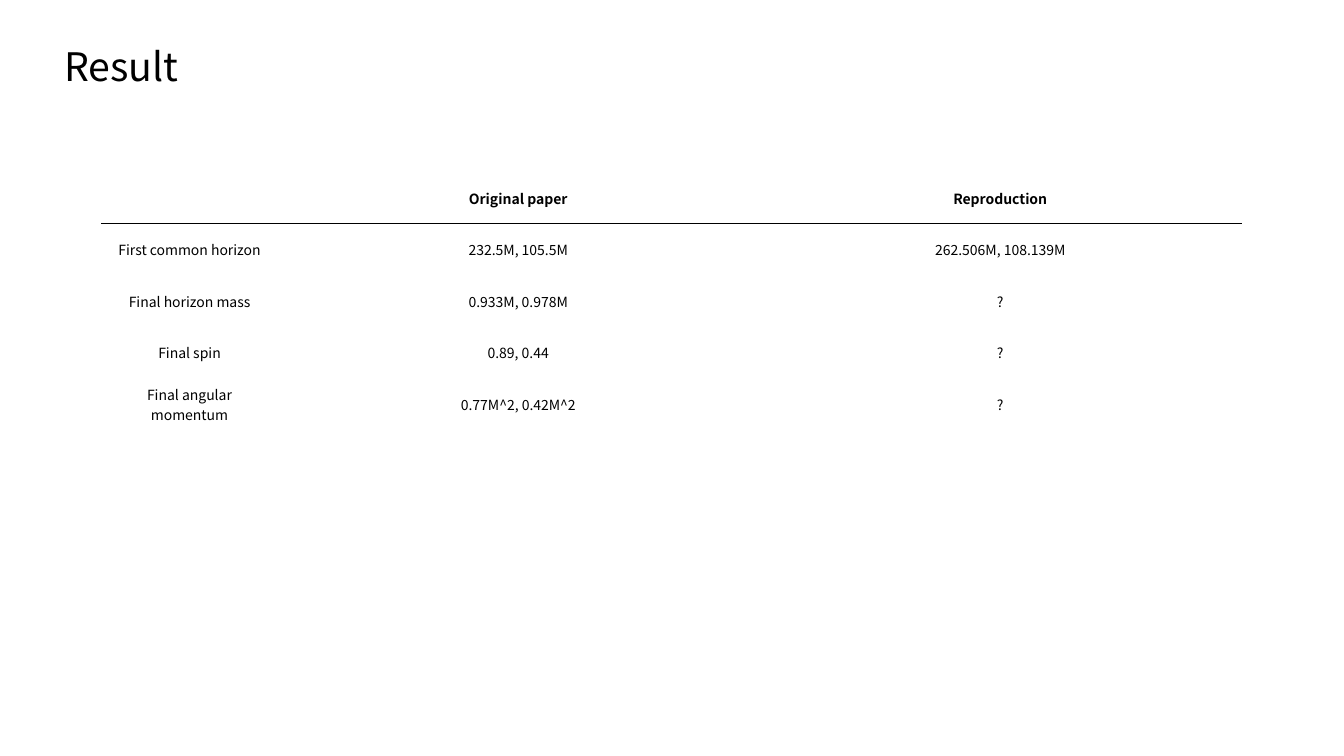
"""Build the slide that compares the paper's results with the reproduction."""
from dataclasses import dataclass

from lxml.etree import SubElement
from pptx import Presentation
from pptx.dml.color import RGBColor as Rgb
from pptx.enum.text import MSO_ANCHOR as Anchor, MSO_AUTO_SIZE as AutoSize, PP_ALIGN as Align
from pptx.oxml.ns import qn
from pptx.util import Pt


@dataclass(frozen=True)
class Theme:
    font: str = "Noto Sans CJK KR"
    ink: str = "000000"
    paper: str = "FFFFFF"
    title_size: int = 28
    table_size: int = 10
    border: int = 1


RESULTS = [
    ("", "Original paper", "Reproduction"),
    ("First common horizon", "232.5M, 105.5M", "262.506M, 108.139M"),
    ("Final horizon mass", "0.933M, 0.978M", "?"),
    ("Final spin", "0.89, 0.44", "?"),
    ("Final angular momentum", "0.77M^2, 0.42M^2", "?"),
]
ROW_COUNT = 8
ROW_HEIGHT = 36.8
COLUMN_WIDTHS = (125.3, 344.3, 344.3)


def assign(target, values):
    for name, value in values.items():
        setattr(target, name, value)


class SlideBuilder:
    def __init__(self, slide, theme):
        self.slide = slide
        self.theme = theme

    def style(self, para, size, align, bold=False):
        para.alignment = align
        assign(para.font, {"name": self.theme.font, "size": Pt(size), "bold": bold})
        para.font.color.rgb = Rgb.from_string(self.theme.ink)

    def title(self, text, left, top, width, height):
        box = self.slide.shapes.title
        assign(box, {"left": Pt(left), "top": Pt(top), "width": Pt(width), "height": Pt(height)})
        frame = box.text_frame
        frame.text = text
        assign(frame, {"word_wrap": False, "auto_size": AutoSize.NONE,
                       "vertical_anchor": Anchor.MIDDLE})
        self.style(frame.paragraphs[0], self.theme.title_size, Align.LEFT)

    def borders(self, cell, colors):
        properties = cell._tc.get_or_add_tcPr()
        for side, color in colors.items():
            line = SubElement(properties, qn(f"a:ln{side}"), w=str(Pt(self.theme.border)))
            fill = SubElement(line, qn("a:solidFill"))
            SubElement(fill, qn("a:srgbClr"), val=color)

    def table(self, rows, row_count, left, top, widths, row_height):
        frame = self.slide.shapes.add_table(row_count, len(widths), Pt(left), Pt(top),
                                            Pt(sum(widths)), Pt(row_height * row_count))
        table = frame.table
        assign(table, {"first_row": False, "horz_banding": False})
        for column, width in zip(table.columns, widths):
            column.width = Pt(width)
        for index, row in enumerate(table.rows):
            row.height = Pt(row_height)
            texts = rows[index] if index < len(rows) else [""] * len(widths)
            for cell, text in zip(row.cells, texts):
                self.cell(cell, text, index)

    def cell(self, cell, text, row_index):
        ink, paper = self.theme.ink, self.theme.paper
        cell.text = text
        cell.vertical_anchor = Anchor.MIDDLE
        self.style(cell.text_frame.paragraphs[0], self.theme.table_size, Align.CENTER,
                   bold=row_index == 0)
        self.borders(cell, {"L": paper, "R": paper,
                            "T": ink if row_index == 1 else paper,
                            "B": ink if row_index == 0 else paper})
        cell.fill.background()


def main():
    deck = Presentation()
    assign(deck, {"slide_width": Pt(960), "slide_height": Pt(540)})
    page = SlideBuilder(deck.slides.add_slide(deck.slide_layouts[5]), Theme())
    page.title("Result", 38.9, 26.6, 96.5, 41)
    page.table(RESULTS, ROW_COUNT, 72.7, 123.1, COLUMN_WIDTHS, ROW_HEIGHT)
    deck.save("out.pptx")


if __name__ == "__main__":
    main()
